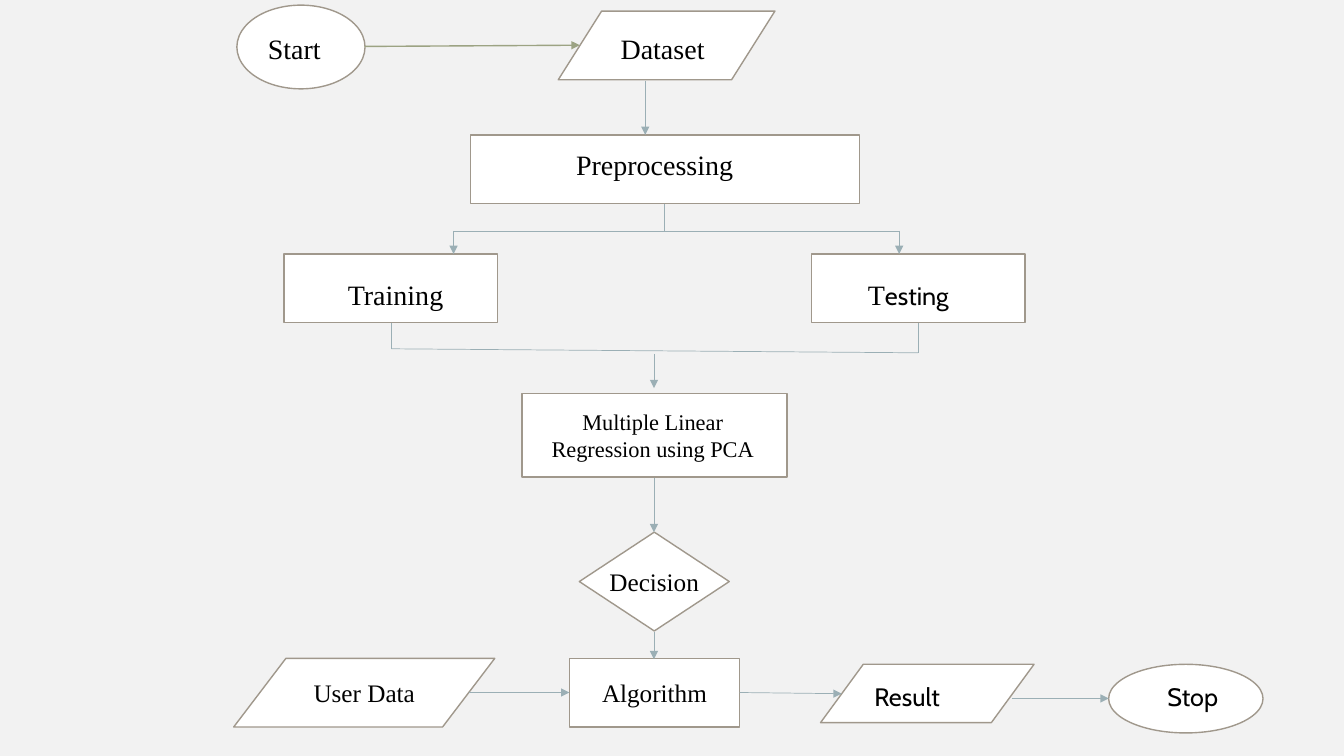
from lxml import etree
from pptx import Presentation
from pptx.dml.color import RGBColor
from pptx.enum.shapes import MSO_CONNECTOR, MSO_SHAPE
from pptx.enum.text import MSO_ANCHOR, MSO_AUTO_SIZE, PP_ALIGN
from pptx.oxml.ns import qn
from pptx.util import Cm, Pt

OVAL = MSO_SHAPE.OVAL
DATA = MSO_SHAPE.FLOWCHART_DATA
BOX = MSO_SHAPE.RECTANGLE
DIAMOND = MSO_SHAPE.FLOWCHART_DECISION
STRAIGHT = MSO_CONNECTOR.STRAIGHT
MIDDLE = MSO_ANCHOR.MIDDLE
GROW = MSO_AUTO_SIZE.SHAPE_TO_FIT_TEXT
LEFT, CENTER = PP_ALIGN.LEFT, PP_ALIGN.CENTER
SERIF, SANS = "Times New Roman", "Cabin"
OUTLINE, ARROW, START_ARROW = "A0988C", "9BAFB5", "9CA383"


def color(hex_value):
    return RGBColor.from_string(hex_value)


def style_font(font, name, size):
    font.name = name
    font.size = Pt(size)
    font.color.rgb = color("000000")


prs = Presentation()
prs.slide_width, prs.slide_height = Cm(33.87), Cm(19.05)
slide = prs.slides.add_slide(prs.slide_layouts[6])
slide.background.fill.solid()
slide.background.fill.fore_color.rgb = color("F2F2F2")

# Flowchart steps: kind, left, top, width, height, inner text
steps = [
    (OVAL, 5.97, 0.13, 3.23, 2.11, ""),         # start
    (DATA, 14.07, 0.28, 5.46, 1.73, ""),        # dataset
    (BOX, 11.86, 3.4, 9.8, 1.73, ""),           # preprocessing
    (BOX, 7.16, 6.4, 5.38, 1.73, ""),           # training
    (BOX, 20.45, 6.4, 5.38, 1.73, ""),          # testing
    (BOX, 13.16, 9.91, 6.68, 2.11, ""),         # regression
    (DIAMOND, 14.6, 13.41, 3.78, 2.49, ""),     # decision
    (BOX, 14.35, 16.59, 4.29, 1.73, "Algorithm"),
    (DATA, 5.89, 16.59, 6.58, 1.73, "User Data"),
    (DATA, 20.68, 16.74, 5.38, 1.47, ""),       # result
    (OVAL, 27.94, 16.74, 3.89, 1.73, ""),       # stop
]
for kind, left, top, width, height, text in steps:
    step = slide.shapes.add_shape(kind, Cm(left), Cm(top), Cm(width), Cm(height))
    step.shadow.inherit = False
    step.fill.solid()
    step.fill.fore_color.rgb = color("FFFFFF")
    step.line.color.rgb = color(OUTLINE)
    step.line.width = Pt(1)
    if text:
        step.text_frame.text = text
        step.text_frame.vertical_anchor = MIDDLE
        paragraph = step.text_frame.paragraphs[0]
        paragraph.alignment = CENTER
        style_font(paragraph.font, SERIF, 18)

# Flow lines: from x, from y, to x, to y, arrowhead, colour, width
flows = [
    (9.19, 1.17, 14.61, 1.14, True, START_ARROW, 1),      # start to dataset
    (16.26, 2.03, 16.26, 3.4, True, ARROW, 0.5),          # dataset to preprocessing
    (11.43, 5.82, 22.66, 5.82, False, ARROW, 0.5),        # split into two sets
    (11.43, 5.82, 11.43, 6.4, True, ARROW, 0.5),
    (22.66, 5.82, 22.66, 6.4, True, ARROW, 0.5),
    (16.74, 5.13, 16.74, 5.82, False, ARROW, 0.5),
    (9.86, 8.79, 23.14, 8.89, False, ARROW, 0.5),         # join into regression
    (16.48, 8.92, 16.48, 9.78, True, ARROW, 0.5),
    (9.86, 8.13, 9.86, 8.79, False, ARROW, 0.5),
    (23.14, 8.13, 23.14, 8.89, False, ARROW, 0.5),
    (16.48, 12.04, 16.48, 13.41, True, ARROW, 0.5),       # regression to decision
    (16.48, 15.93, 16.48, 16.61, True, ARROW, 0.5),       # decision to algorithm
    (11.81, 17.45, 14.35, 17.45, True, ARROW, 0.5),       # user data to algorithm
    (18.64, 17.45, 21.21, 17.48, True, ARROW, 0.5),       # algorithm to result
    (25.5, 17.6, 27.94, 17.6, True, ARROW, 0.5),          # result to stop
]
for x1, y1, x2, y2, has_head, line_color, line_width in flows:
    flow = slide.shapes.add_connector(STRAIGHT, Cm(x1), Cm(y1), Cm(x2), Cm(y2))
    flow.line.color.rgb = color(line_color)
    flow.line.width = Pt(line_width)
    if has_head:
        etree.SubElement(flow.line._get_or_add_ln(), qn("a:tailEnd"), type="triangle")
    etree.SubElement(flow._element.spPr, qn("a:effectLst"))

# Step labels: left, top, width, height, alignment, font, size, lines
labels = [
    (6.5, 0.66, 2.18, 1.12, LEFT, SERIF, 20, ["Start"]),
    (15.39, 0.66, 2.97, 1.12, LEFT, SERIF, 20, ["Dataset"]),
    (12.55, 3.58, 7.9, 1.12, CENTER, SERIF, 20, ["Preprocessing"]),
    (8.05, 6.86, 3.84, 1.12, CENTER, SERIF, 20, ["Training"]),
    (13.16, 10.16, 6.58, 1.63, CENTER, SERIF, 16,
     ["Multiple Linear", "Regression using PCA"]),
    (15.11, 14.15, 3.23, 1.02, LEFT, SERIF, 18, ["Decision"]),
    (21.64, 17.04, 2.44, 1.02, CENTER, SANS, 18, ["Result"]),
    (28.6, 17.04, 2.92, 1.02, CENTER, SANS, 18, ["Stop"]),
    (20.68, 6.86, 4.42, 1.12, CENTER, SERIF, 20, ["T"]),
]
for left, top, width, height, alignment, font_name, size, lines in labels:
    label = slide.shapes.add_textbox(Cm(left), Cm(top), Cm(width), Cm(height))
    frame = label.text_frame
    frame.word_wrap = True
    frame.auto_size = GROW
    frame.text = "\n".join(lines)
    for paragraph in frame.paragraphs:
        paragraph.alignment = alignment
        style_font(paragraph.font, font_name, size)

# The last label, "Testing", changes font after its first letter
testing_rest = frame.paragraphs[0].add_run()
testing_rest.text = "esting"
style_font(testing_rest.font, SANS, 18)

prs.save("out.pptx")
